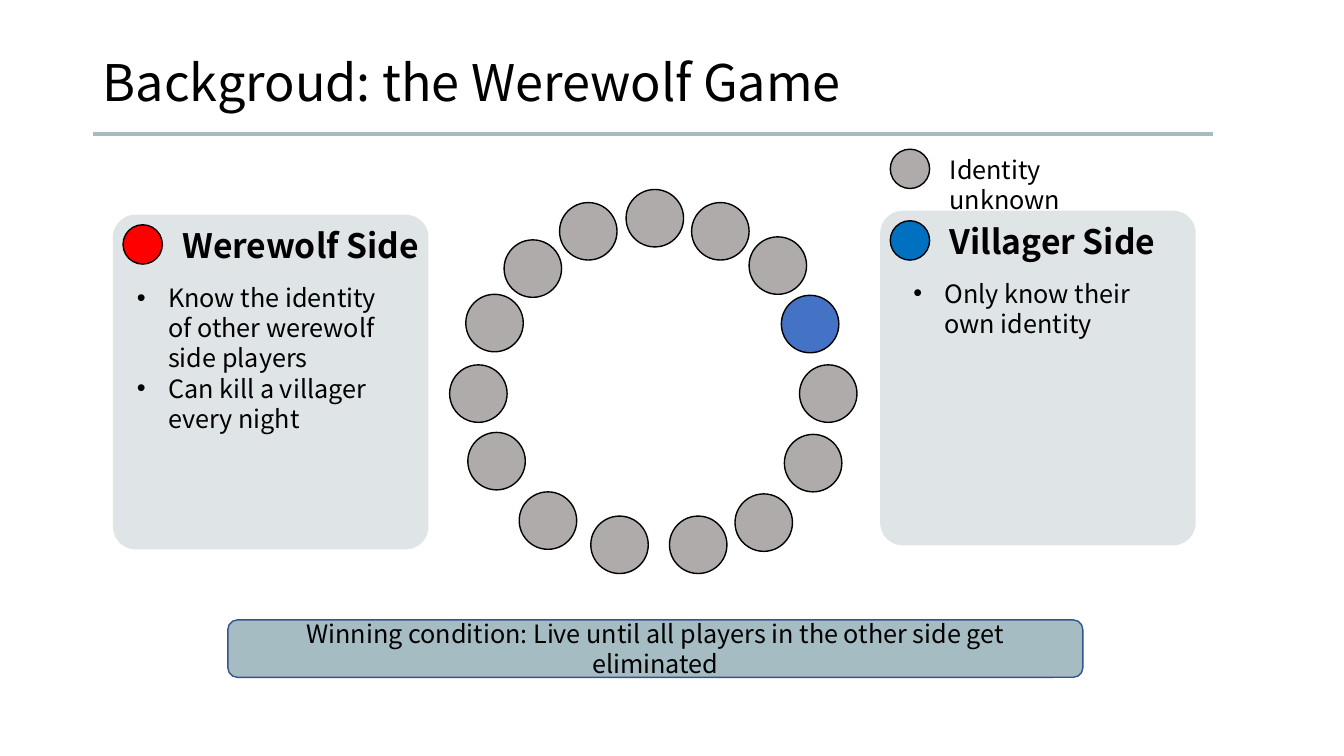
from lxml import etree
from pptx import Presentation
from pptx.dml.color import RGBColor
from pptx.enum import shapes, text
from pptx.oxml.ns import qn
from pptx.util import Inches, Pt

FONT = "Noto Sans CJK SC"
BLACK, GREY, TEAL, PANEL = "000000", "AFABAB", "A4BCC2", "C0CBCE"
OVAL = shapes.MSO_SHAPE.OVAL
ROUNDED = shapes.MSO_SHAPE.ROUNDED_RECTANGLE
PLAYER_SIZE, KEY_SIZE = 0.57, 0.39

# Left and top of each player, clockwise from the top
PLAYERS = [
    (6.21, 1.88), (6.86, 2.01), (7.43, 2.35), (7.75, 2.93), (7.93, 3.62),
    (7.78, 4.31), (7.29, 4.9), (6.64, 5.12), (5.86, 5.12), (5.15, 4.88),
    (4.64, 4.29), (4.46, 3.62), (4.62, 2.92), (5, 2.38), (5.55, 2.01),
]
KNOWN_PLAYER = 3


def color(hex_code):
    return RGBColor.from_string(hex_code)


def add_rule(page, left, right, top):
    rule = page.shapes.add_connector(
        shapes.MSO_CONNECTOR.STRAIGHT,
        Inches(left), Inches(top), Inches(right), Inches(top))
    rule.line.color.rgb = color(TEAL)
    rule.line.width = Pt(3)
    etree.SubElement(rule._element.spPr, qn("a:effectLst"))


def add_figure(page, kind, place, fill, line=None, alpha=None):
    figure = page.shapes.add_shape(kind, *map(Inches, place))
    figure.shadow.inherit = False
    figure.fill.solid()
    figure.fill.fore_color.rgb = color(fill)
    if alpha:
        tint = figure._element.spPr.find(qn("a:solidFill"))[0]
        etree.SubElement(tint, qn("a:alpha"), val=str(alpha * 1000))
    if line:
        figure.line.color.rgb = color(line)
        figure.line.width = Pt(1)
    else:
        figure.line.fill.background()
    return figure


def add_circle(page, left, top, size, fill):
    add_figure(page, OVAL, (left, top, size, size), fill, BLACK)


def add_bullet(para):
    props = para._p.get_or_add_pPr()
    props.set("marL", str(Inches(0.31)))
    props.set("indent", str(-Inches(0.31)))
    etree.SubElement(props, qn("a:buFont"), typeface="Arial")
    etree.SubElement(props, qn("a:buChar"), char="•")


def write(box, lines, size, bold=False, bullets=False, spacing=None,
          align=text.PP_ALIGN.LEFT, anchor=text.MSO_ANCHOR.TOP):
    frame = box.text_frame
    frame.word_wrap = True
    frame.vertical_anchor = anchor
    for index, line in enumerate(lines):
        para = frame.paragraphs[0] if index == 0 else frame.add_paragraph()
        para.alignment = align
        para.line_spacing = spacing or Pt(size * 1.2)
        if bullets:
            add_bullet(para)
        span = para.add_run()
        span.text = line
        span.font.name = FONT
        span.font.size = Pt(size)
        span.font.bold = bold
        span.font.color.rgb = color(BLACK)
        east_asian = etree.SubElement(span._r.get_or_add_rPr(), qn("a:ea"))
        east_asian.set("typeface", FONT)


def add_text(page, place, lines, size, **style):
    write(page.shapes.add_textbox(*map(Inches, place)), lines, size, **style)


def add_side(page, left, top, name, fill, facts, facts_left, facts_height):
    panel = add_figure(page, ROUNDED, (left, top, 3.13, 3.32), PANEL, alpha=50)
    panel.adjustments[0] = 0.072
    add_text(page, (left + 0.59, top + 0.05, 3.23, 0.5), [name], 24, bold=True)
    add_circle(page, left + 0.1, top + 0.1, KEY_SIZE, fill)
    add_text(page, (facts_left, top + 0.62, 2.83, facts_height), facts, 18,
             bullets=True)


def main():
    deck = Presentation()
    deck.slide_width, deck.slide_height = Inches(13.33), Inches(7.5)
    page = deck.slides.add_slide(deck.slide_layouts[6])

    # Title
    add_rule(page, 0.92, 12.03, 1.33)
    add_text(page, (0.92, 0.4, 11.3, 0.89), ["Backgroud: the Werewolf Game"],
             36, spacing=0.9, anchor=text.MSO_ANCHOR.MIDDLE)

    # Winning condition
    banner = add_figure(page, ROUNDED, (2.26, 6.15, 8.48, 0.57), TEAL, "325491")
    write(banner, ["Winning condition: Live until all players in the other "
                   "side get eliminated"], 18,
          align=text.PP_ALIGN.CENTER, anchor=text.MSO_ANCHOR.MIDDLE)

    # The two sides
    add_side(page, 1.12, 2.13, "Werewolf Side", "FF0000",
             ["Know the identity of other werewolf side players",
              "Can kill a villager every night"], 1.26, 1.92)
    add_side(page, 8.73, 2.09, "Villager Side", "0070C0",
             ["Only know their own identity"], 8.96, 1.01)

    # Ring of players
    for index, (left, top) in enumerate(PLAYERS):
        fill = "4472C4" if index == KNOWN_PLAYER else GREY
        add_circle(page, left, top, PLAYER_SIZE, fill)

    # Legend
    add_circle(page, 8.83, 1.48, KEY_SIZE, GREY)
    add_text(page, (9.32, 1.48, 2.08, 0.4), ["Identity unknown"], 18)

    deck.save("out.pptx")


main()
